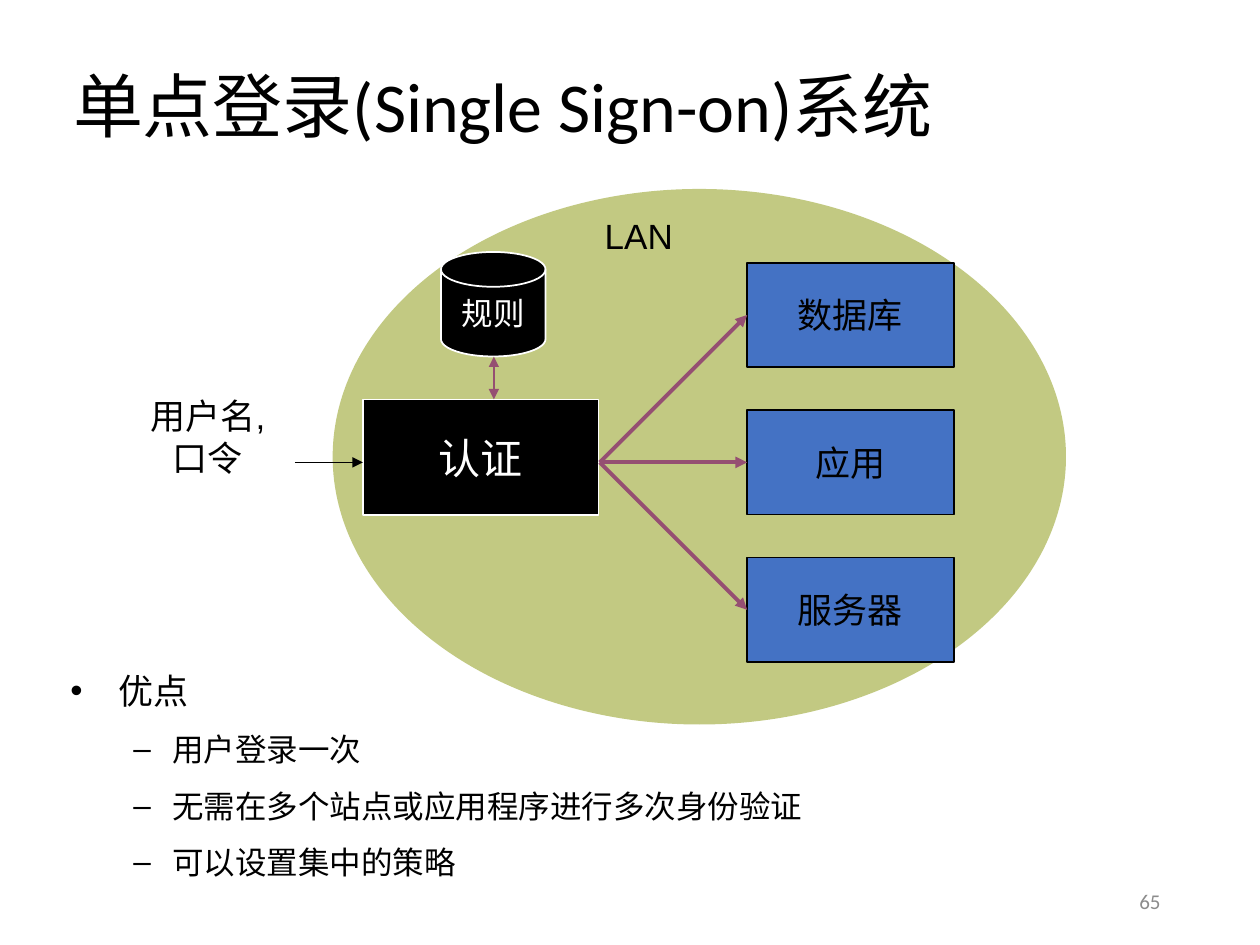
from lxml import etree
from pptx import Presentation
from pptx.dml.color import RGBColor
from pptx.enum.shapes import MSO_CONNECTOR, MSO_SHAPE
from pptx.enum.text import MSO_ANCHOR, MSO_AUTO_SIZE, PP_ALIGN
from pptx.oxml.ns import qn
from pptx.util import Inches, Pt

BLACK, WHITE, BLUE = "000000", "FFFFFF", "4472C4"
OLIVE, PLUM, GRAY = "869406", "954F72", "8C8C8C"


def rgb(value):
    return RGBColor.from_string(value)


def place(s, box):
    s.left, s.top, s.width, s.height = [Inches(v) for v in box]


def write(s, text, size, color=BLACK, font="Arial", align=PP_ALIGN.CENTER,
          anchor=MSO_ANCHOR.MIDDLE, wrap=False):
    tf = s.text_frame
    tf.text = text
    tf.word_wrap = wrap
    tf.auto_size = MSO_AUTO_SIZE.NONE
    tf.vertical_anchor = anchor
    for p in tf.paragraphs:
        p.alignment = align
        for r in p.runs:
            r.font.size = Pt(size)
            r.font.name = font
            r.font.color.rgb = rgb(color)
    return tf


def add_label(slide, box, text, size, **style):
    s = slide.shapes.add_textbox(*[Inches(v) for v in box])
    return write(s, text, size, **style)


def add_node(slide, kind, box, fill, line=None):
    s = slide.shapes.add_shape(kind, *[Inches(v) for v in box])
    s.shadow.inherit = False
    s.fill.solid()
    s.fill.fore_color.rgb = rgb(fill)
    if line:
        s.line.color.rgb = rgb(line)
        s.line.width = Pt(1)
    else:
        s.line.fill.background()
    return s


def add_arrow(slide, start, end, color, width, ends=("tailEnd",)):
    points = [Inches(v) for v in (*start, *end)]
    s = slide.shapes.add_connector(MSO_CONNECTOR.STRAIGHT, *points)
    s.line.color.rgb = rgb(color)
    s.line.width = Pt(width)
    ln = s.line._get_or_add_ln()
    for tag in ends:
        etree.SubElement(ln, qn(f"a:{tag}"), type="triangle")
    etree.SubElement(s._element.spPr, qn("a:effectLst"))


def add_title(slide, box, text):
    s = slide.shapes.title
    place(s, box)
    tf = write(s, text, 40, font="Calibri", align=PP_ALIGN.LEFT, wrap=True)
    tf.paragraphs[0].line_spacing = 0.9


def add_network(slide, box):
    x, y, w, h = box
    lan = add_node(slide, MSO_SHAPE.OVAL, box, OLIVE)
    color = lan.fill._xPr.find(qn("a:solidFill"))[0]
    etree.SubElement(color, qn("a:alpha"), val="50000")
    add_label(slide, (x + 2.06, y + 0.15, 0.74, 0.43), "LAN", 20,
              anchor=MSO_ANCHOR.TOP)

    rules = add_node(slide, MSO_SHAPE.FLOWCHART_MAGNETIC_DISK,
                     (x + 0.86, y + 0.5, 0.83, 0.83), BLACK, WHITE)
    write(rules, "规则", 18, WHITE)
    auth = add_node(slide, MSO_SHAPE.RECTANGLE,
                    (x + 0.24, y + 1.67, 1.87, 0.92), BLACK, WHITE)
    write(auth, "认证", 24, WHITE, "Arial Narrow")
    add_arrow(slide, (x + 1.28, y + 1.67), (x + 1.28, y + 1.33), PLUM, 1,
              ("headEnd", "tailEnd"))

    hub = (x + 2.12, y + 2.17)
    target_x, target_h, pitch = x + 3.29, 0.83, 1.17
    for i, name in enumerate(["数据库", "应用", "服务器"]):
        center = hub[1] + (i - 1) * pitch
        s = add_node(slide, MSO_SHAPE.RECTANGLE,
                     (target_x, center - target_h / 2, 1.64, target_h), BLUE, BLACK)
        write(s, name, 20)
        add_arrow(slide, hub, (target_x, center), PLUM, 2.25)


def add_user(slide, box):
    x, y, w, h = box
    add_label(slide, box, "用户名,\n口令", 20, anchor=MSO_ANCHOR.TOP)
    add_arrow(slide, (x + 1.25, y + 0.59), (x + 1.79, y + 0.59), BLACK, 1)


def add_benefits(slide, box, heading, items):
    tf = add_label(slide, box, "\n".join([heading, *items]), 18,
                   align=PP_ALIGN.LEFT, anchor=MSO_ANCHOR.TOP, wrap=True)
    for i, p in enumerate(tf.paragraphs):
        margin, indent, bullet = (0.81, -0.31, "–") if i else (0.38, -0.38, "•")
        pPr = p._p.get_or_add_pPr()
        pPr.set("marL", str(Inches(margin)))
        pPr.set("indent", str(Inches(indent)))
        etree.SubElement(pPr, qn("a:buFont"), typeface="Arial")
        etree.SubElement(pPr, qn("a:buChar"), char=bullet)
        p.level = 1 if i else 0
        p.line_spacing = 0.8
        p.space_before = Pt(12 if i else 0)
        p.space_after = Pt(3)
    tf.paragraphs[0].runs[0].font.size = Pt(20)


def main():
    prs = Presentation()
    prs.slide_width, prs.slide_height = Inches(10), Inches(7.5)
    slide = prs.slides.add_slide(prs.slide_layouts[5])
    add_title(slide, (0.48, 0.25, 9, 1.25), "单点登录(Single Sign-on)系统")
    add_network(slide, (2.64, 1.5, 5.82, 4.25))
    add_user(slide, (1.09, 3.08, 1.12, 0.77))
    add_benefits(slide, (0.46, 5.33, 9.01, 0.75), "优点", [
        "用户登录一次",
        "无需在多个站点或应用程序进行多次身份验证",
        "可以设置集中的策略",
    ])
    add_label(slide, (7.06, 6.95, 2.25, 0.4), "65", 12, color=GRAY,
              font="Calibri", align=PP_ALIGN.RIGHT, wrap=True)
    prs.save("out.pptx")


if __name__ == "__main__":
    main()
